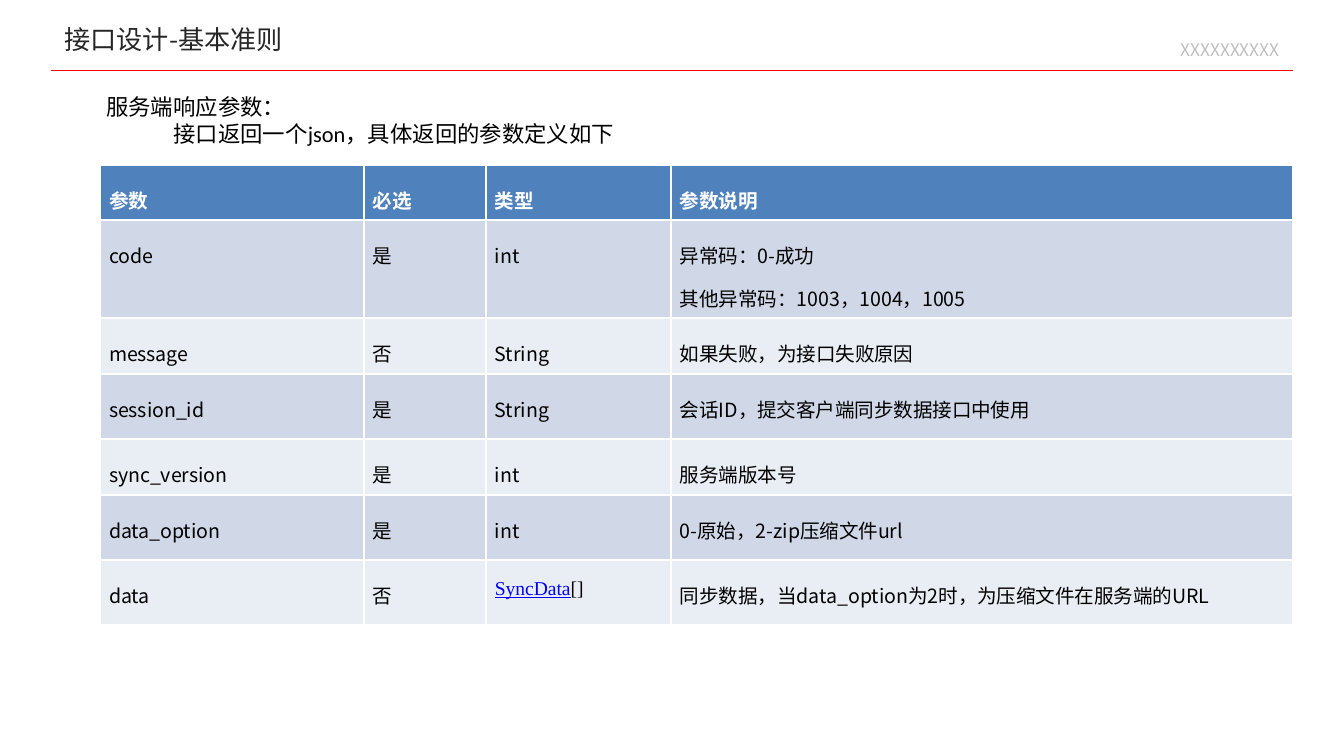
from lxml.etree import SubElement
from pptx import Presentation
from pptx.dml.color import RGBColor
from pptx.enum.shapes import MSO_CONNECTOR
from pptx.enum.text import MSO_ANCHOR, PP_ALIGN
from pptx.oxml.ns import qn
from pptx.util import Pt

# Content
TITLE = "接口设计-基本准则"
SUBTITLE = "XXXXXXXXXX"
INTRO = ["服务端响应参数：", "\t接口返回一个json，具体返回的参数定义如下"]
HEADER = ["参数", "必选", "类型", "参数说明"]
PARAMETERS = [
    ["code", "是", "int", "异常码：0-成功\n其他异常码：1003，1004，1005"],
    ["message", "否", "String", "如果失败，为接口失败原因"],
    ["session_id", "是", "String", "会话ID，提交客户端同步数据接口中使用"],
    ["sync_version", "是", "int", "服务端版本号"],
    ["data_option", "是", "int", "0-原始，2-zip压缩文件url"],
    ["data", "否", "", "同步数据，当data_option为2时，为压缩文件在服务端的URL"],
]
DATA_TYPE = [("SyncData", "0000FF", True), ("[]", "000000", False)]

# Layout in px
COLUMN_WIDTHS = [264, 122, 185, 622]
ROW_HEIGHTS = [55, 98, 56, 65, 56, 65, 65]
HEADER_FILL, BAND_FILLS = "4F81BD", ["D0D8E8", "E9EDF4"]
SANS, SERIF, LATIN = "Noto Sans CJK SC", "Times New Roman", "Calibri"


def px(length):
    return round(length * 914400 / 134.4)


def color(value):
    return RGBColor.from_string(value)


def set_font(font, name, size, value, bold=False):
    font.name, font.size, font.bold = name, Pt(size), bold
    font.color.rgb = color(value)


def place(shape, left, top, width, height):
    shape.left, shape.top = px(left), px(top)
    shape.width, shape.height = px(width), px(height)


def fill_cell(cell, text, fill, text_color, bold, align):
    cell.fill.solid()
    cell.fill.fore_color.rgb = color(fill)
    cell.margin_left = cell.margin_right = px(9)
    cell.margin_top = cell.margin_bottom = px(7)
    cell.text = text
    for paragraph in cell.text_frame.paragraphs:
        paragraph.alignment = align
        paragraph.line_spacing = 1.5
        set_font(paragraph.font, SANS, 10.5, text_color, bold)


deck = Presentation()
deck.slide_width, deck.slide_height = px(1344), px(756)
page = deck.slides.add_slide(deck.slide_layouts[0])

# Red rule under the title
rule = page.shapes.add_connector(MSO_CONNECTOR.STRAIGHT, px(51), px(70), px(1293), px(70))
rule.line.color.rgb = color("FF0000")
rule.line.width = Pt(0.25)
SubElement(rule._element.spPr, qn("a:effectLst"))

# Title and subtitle
headings = [
    (page.shapes.title, TITLE, (51, 19, 589, 40), 14, "262626", PP_ALIGN.LEFT, MSO_ANCHOR.MIDDLE),
    (page.placeholders[1], SUBTITLE, (761, 32, 532, 30), 9.3, "BFBFBF", PP_ALIGN.RIGHT, MSO_ANCHOR.TOP),
]
for shape, text, area, size, value, align, anchor in headings:
    place(shape, *area)
    shape.text_frame.text = text
    shape.text_frame.vertical_anchor = anchor
    paragraph = shape.text_frame.paragraphs[0]
    paragraph.alignment = align
    set_font(paragraph.font, SANS, size, value)

# Introduction
box = page.shapes.add_textbox(px(93), px(87), px(1200), px(573))
box.text_frame.word_wrap = True
box.text_frame.text = "\n".join(INTRO)
for paragraph in box.text_frame.paragraphs:
    set_font(paragraph.font, LATIN, 12, "000000")

# Parameter table
table = page.shapes.add_table(
    len(ROW_HEIGHTS), len(COLUMN_WIDTHS), px(100), px(165),
    px(sum(COLUMN_WIDTHS)), px(sum(ROW_HEIGHTS))).table
for column, width in zip(table.columns, COLUMN_WIDTHS):
    column.width = px(width)
for row, height in zip(table.rows, ROW_HEIGHTS):
    row.height = px(height)
for r, texts in enumerate([HEADER] + PARAMETERS):
    is_header = r == 0
    fill = HEADER_FILL if is_header else BAND_FILLS[(r - 1) % 2]
    for c, text in enumerate(texts):
        align = PP_ALIGN.JUSTIFY if c in (0, 3) else PP_ALIGN.LEFT
        fill_cell(table.cell(r, c), text, fill,
                  "FFFFFF" if is_header else "000000", is_header, align)

# Data type with a link-styled name
paragraph = table.cell(len(PARAMETERS), 2).text_frame.paragraphs[0]
for text, value, underlined in DATA_TYPE:
    span = paragraph.add_run()
    span.text = text
    set_font(span.font, SERIF, 10.5, value)
    span.font.underline = underlined

deck.save("out.pptx")
